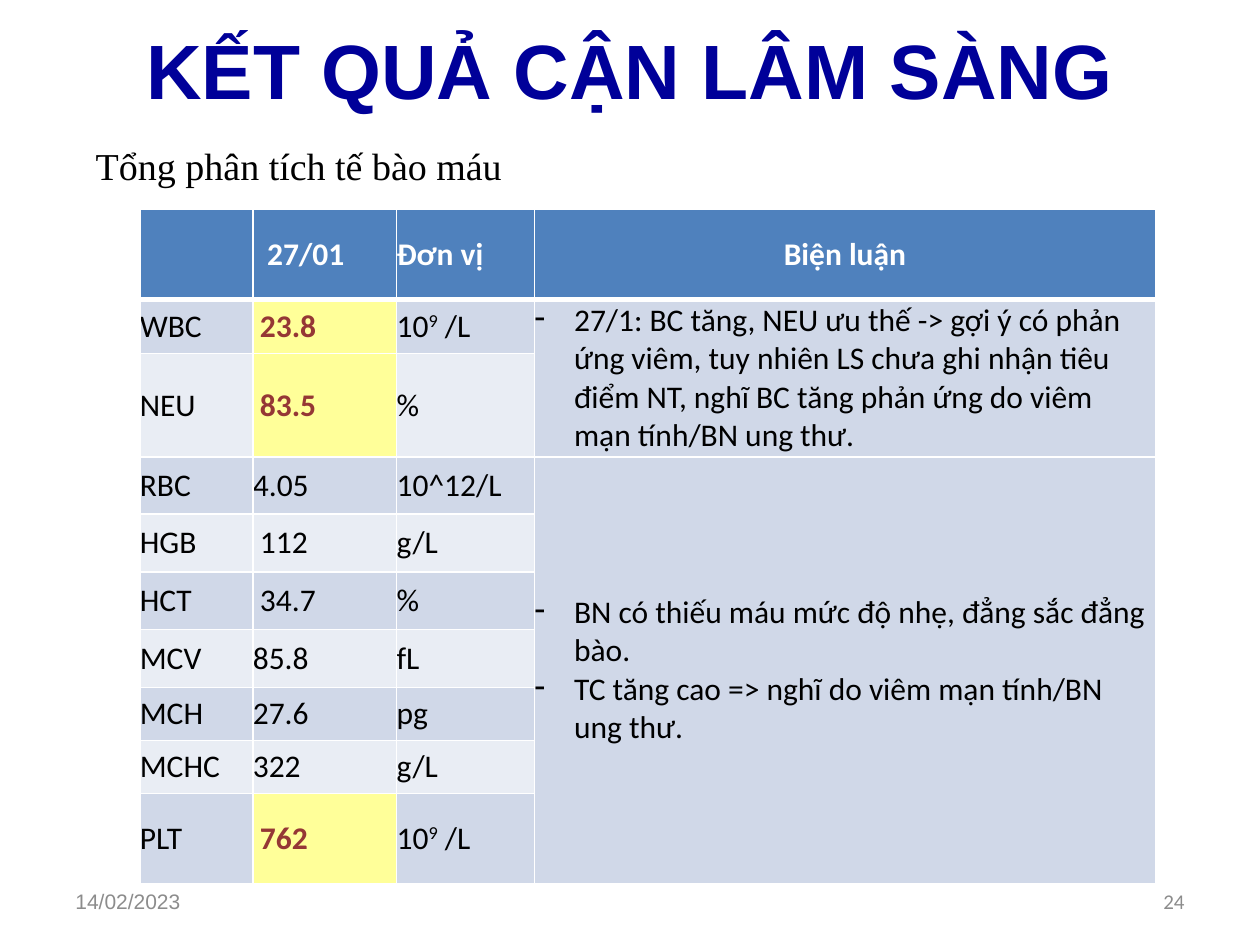
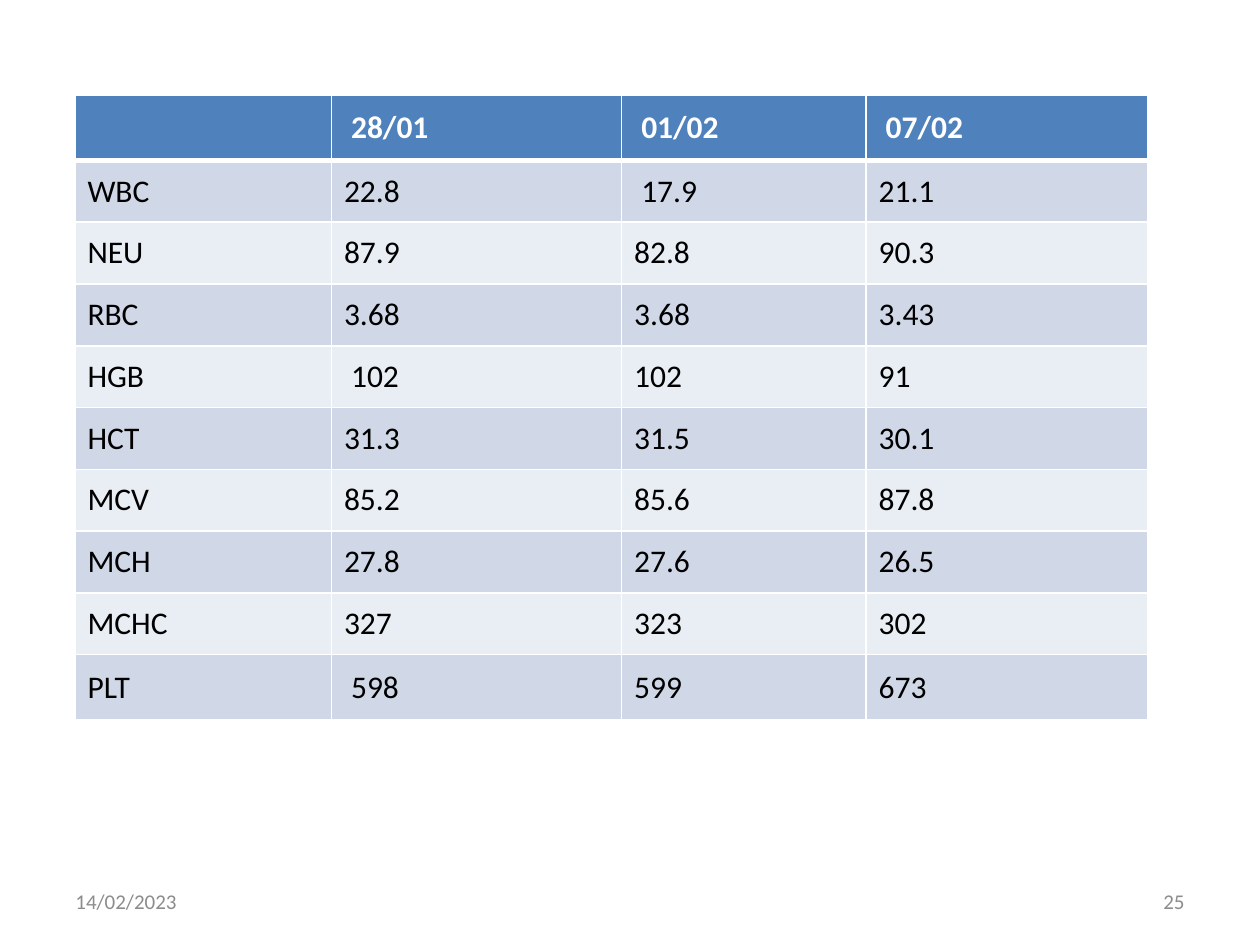
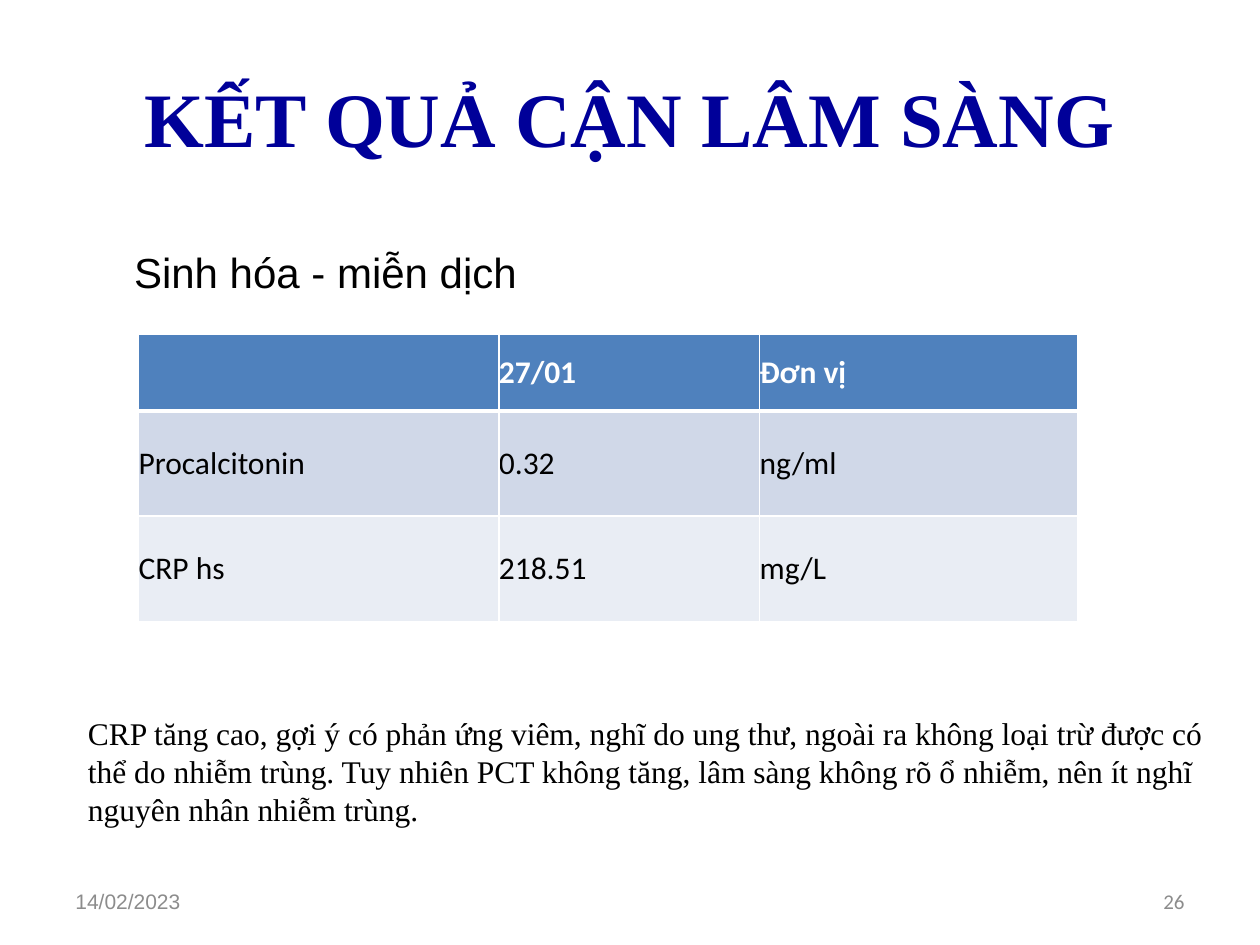
from dataclasses import dataclass

from lxml.etree import SubElement
from pptx import Presentation
from pptx.dml.color import RGBColor
from pptx.enum.text import MSO_ANCHOR, MSO_AUTO_SIZE, PP_ALIGN
from pptx.oxml.ns import qn
from pptx.util import Pt

# Shared style
NAVY = RGBColor(0x00, 0x00, 0x99)
BLACK = RGBColor(0x00, 0x00, 0x00)
WHITE = RGBColor(0xFF, 0xFF, 0xFF)
GREY = RGBColor(0x8C, 0x8C, 0x8C)
HEADER_BLUE = RGBColor(0x4F, 0x81, 0xBD)
BANDS = (RGBColor(0xD0, 0xD8, 0xE8), RGBColor(0xE9, 0xED, 0xF4))
YELLOW = RGBColor(0xFF, 0xFF, 0x99)
DARK_RED = RGBColor(0x95, 0x37, 0x35)

SANS, SERIF, TABLE_FONT = "Arial", "Times New Roman", "Calibri"
TITLE_AND_CONTENT, BLANK = 1, 6
SPACE = 4.07  # width of one space in the table font
HANGING = 22.5
HEADING = "KẾT QUẢ CẬN LÂM SÀNG"
DATE = "14/02/2023"


@dataclass
class Cell:
    text: str = ""
    superscript: str = ""
    tail: str = ""
    indent: float = 0
    abnormal: bool = False
    centred: bool = False
    bullet: str = ""
    row_span: int = 1


def write_text(frame, text, font=TABLE_FONT, size=18, color=BLACK, bold=False,
               align=PP_ALIGN.LEFT, bullet="", superscript="", tail=""):
    """Fill a text frame, one paragraph for each line of text."""
    for index, line in enumerate(text.split("\n")):
        paragraph = frame.paragraphs[0] if index == 0 else frame.add_paragraph()
        paragraph.alignment = align
        paragraph.space_before = Pt(0)
        properties = paragraph._p.get_or_add_pPr()
        hanging = Pt(HANGING) if bullet else 0
        properties.set("marL", str(hanging))
        properties.set("indent", str(-hanging))
        if bullet:
            SubElement(properties, qn("a:buChar"), char=bullet)
        else:
            SubElement(properties, qn("a:buNone"))
        for part in filter(None, (line, superscript, tail)):
            run = paragraph.add_run()
            run.text = part
            run.font.name = font
            run.font.size = Pt(size)
            run.font.bold = bold
            run.font.color.rgb = color
            if part == superscript:
                run._r.get_or_add_rPr().set("baseline", "30000")


def draw_borders(cell, bottom_width):
    properties = cell._tc.get_or_add_tcPr()
    for side, width in (("L", 1), ("R", 1), ("T", 1), ("B", bottom_width)):
        line = SubElement(properties, qn(f"a:ln{side}"), w=str(Pt(width)))
        fill = SubElement(line, qn("a:solidFill"))
        SubElement(fill, qn("a:srgbClr"), val=str(WHITE))


class Deck:
    """Holds the presentation and the slide being built."""

    def __init__(self):
        self.presentation = Presentation()
        self.presentation.slide_width = Pt(720)
        self.presentation.slide_height = Pt(540)
        self.slide = None

    def add_slide(self, layout, number, date_font):
        layouts = self.presentation.slide_layouts
        self.slide = self.presentation.slides.add_slide(layouts[layout])
        footer = dict(size=12, color=GREY)
        self.text_box(36, 500.4, 168, 28.8, DATE, MSO_ANCHOR.MIDDLE,
                      font=date_font, **footer)
        self.text_box(516, 500.4, 168, 28.8, str(number), MSO_ANCHOR.MIDDLE,
                      align=PP_ALIGN.RIGHT, **footer)

    def place(self, shape, left, top, width, height, anchor):
        shape.left, shape.top = Pt(left), Pt(top)
        shape.width, shape.height = Pt(width), Pt(height)
        frame = shape.text_frame
        frame.word_wrap = True
        frame.auto_size = MSO_AUTO_SIZE.NONE
        frame.vertical_anchor = anchor
        return frame

    def text_box(self, left, top, width, height, text, anchor=MSO_ANCHOR.TOP, **style):
        shape = self.slide.shapes.add_textbox(0, 0, 0, 0)
        frame = self.place(shape, left, top, width, height, anchor)
        write_text(frame, text, **style)

    def title(self, top, height, font):
        frame = self.place(self.slide.shapes.title, 36, top, 648, height,
                           MSO_ANCHOR.MIDDLE)
        write_text(frame, HEADING, font=font, size=44, color=NAVY, bold=True,
                   align=PP_ALIGN.CENTER)

    def body(self, left, top, width, height, text, margin_left, margin_top, **style):
        frame = self.place(self.slide.placeholders[1], left, top, width, height,
                           MSO_ANCHOR.TOP)
        frame.margin_left, frame.margin_top = Pt(margin_left), Pt(margin_top)
        write_text(frame, text, **style)

    def table(self, left, top, widths, heights, rows, side_margin=0, edge_margin=0):
        table = self.slide.shapes.add_table(
            len(heights), len(widths), Pt(left), Pt(top),
            Pt(sum(widths)), Pt(sum(heights))).table
        for column, width in zip(table.columns, widths):
            column.width = Pt(width)
        for row, height in zip(table.rows, heights):
            row.height = Pt(height)
        for row_index, row in enumerate(rows):
            for column_index, content in enumerate(row):
                cell = table.cell(row_index, column_index)
                self.fill_cell(cell, content, row_index, side_margin, edge_margin)
                span = getattr(content, "row_span", 1)
                if span > 1:
                    cell.merge(table.cell(row_index + span - 1, column_index))

    def fill_cell(self, cell, content, row_index, side_margin, edge_margin):
        if not isinstance(content, Cell):
            content = Cell(content)
        header = row_index == 0
        draw_borders(cell, 3 if header else 1)
        cell.fill.solid()
        band = HEADER_BLUE if header else BANDS[(row_index - 1) % 2]
        cell.fill.fore_color.rgb = YELLOW if content.abnormal else band
        cell.vertical_anchor = MSO_ANCHOR.MIDDLE
        cell.margin_left = Pt(side_margin + content.indent)
        cell.margin_right = Pt(side_margin)
        cell.margin_top = cell.margin_bottom = Pt(edge_margin)
        color = WHITE if header else DARK_RED if content.abnormal else BLACK
        write_text(cell.text_frame, content.text, color=color,
                   bold=header or content.abnormal, bullet=content.bullet,
                   align=PP_ALIGN.CENTER if content.centred else PP_ALIGN.LEFT,
                   superscript=content.superscript, tail=content.tail)


def spaced(text, spaces=1, abnormal=False):
    return Cell(text, indent=spaces * SPACE, abnormal=abnormal)


def blood_count(deck):
    deck.add_slide(TITLE_AND_CONTENT, 24, SANS)
    deck.title(0, 78.5, SANS)
    deck.body(47.5, 74.9, 390, 28.8, "Tổng phân tích tế bào máu", 7.2, 6.5,
              font=SERIF, size=21.7)
    cells_per_litre = Cell("10", superscript="9", tail=" /L")
    white_cells = Cell(
        "27/1: BC tăng, NEU ưu thế -> gợi ý có phản ứng viêm, tuy nhiên LS chưa "
        "ghi nhận tiêu điểm NT, nghĩ BC tăng phản ứng do viêm mạn tính/BN ung thư.",
        bullet="-", row_span=2)
    red_cells = Cell(
        "BN có thiếu máu mức độ nhẹ, đẳng sắc đẳng bào.\n"
        "TC tăng cao => nghĩ do viêm mạn tính/BN ung thư.",
        bullet="-", row_span=7)
    rows = [
        ("", spaced("27/01", 2), "Đơn vị", Cell("Biện luận", centred=True)),
        ("WBC", spaced("23.8", abnormal=True), cells_per_litre, white_cells),
        ("NEU", spaced("83.5", abnormal=True), "%", ""),
        ("RBC", "4.05", "10^12/L", red_cells),
        ("HGB", spaced("112"), "g/L", ""),
        ("HCT", spaced("34.7"), "%", ""),
        ("MCV", "85.8", "fL", ""),
        ("MCH", "27.6", "pg", ""),
        ("MCHC", "322", "g/L", ""),
        ("PLT", spaced("762", abnormal=True), cells_per_litre, ""),
    ]
    heights = [51.6, 31, 59.2, 32.4, 33.1, 33.1, 33.1, 30.2, 30.2, 51.6]
    deck.table(79.9, 119.5, [64.6, 82.2, 78.9, 354.7], heights, rows)


def blood_count_follow_up(deck):
    deck.add_slide(BLANK, 25, TABLE_FONT)
    rows = [
        ("", spaced("28/01"), spaced("01/02"), spaced("07/02")),
        ("WBC", "22.8", spaced("17.9"), "21.1"),
        ("NEU", "87.9", "82.8", "90.3"),
        ("RBC", "3.68", "3.68", "3.43"),
        ("HGB", spaced("102"), "102", "91"),
        ("HCT", "31.3", "31.5", "30.1"),
        ("MCV", "85.2", "85.6", "87.8"),
        ("MCH", "27.8", "27.6", "26.5"),
        ("MCHC", "327", "323", "302"),
        ("PLT", spaced("598"), "599", "673"),
    ]
    heights = [37.4] + [35.3] * 8 + [37.4]
    deck.table(42.8, 54.3, [146.6, 165.8, 139.7, 161], heights, rows,
               side_margin=7.2, edge_margin=3.6)


def biochemistry(deck):
    deck.add_slide(TITLE_AND_CONTENT, 26, SANS)
    deck.title(21.6, 90, SERIF)
    deck.body(36, 126, 648.7, 224.6, "Sinh hóa - miễn dịch", 40.6, 15,
              font=SANS, size=24)
    rows = [
        ("", "27/01", "Đơn vị"),
        ("Procalcitonin", "0.32", "ng/ml"),
        ("CRP hs", "218.51", "mg/L"),
    ]
    deck.table(79.2, 191, [205.9, 149, 181.6], [43.8, 60.2, 60.2], rows)
    deck.text_box(
        43.2, 404.6, 653, 72.7,
        "CRP tăng cao, gợi ý có phản ứng viêm, nghĩ do ung thư, ngoài ra không loại "
        "trừ được có thể do nhiễm trùng. Tuy nhiên PCT không tăng, lâm sàng không rõ "
        "ổ nhiễm, nên ít nghĩ nguyên nhân nhiễm trùng.", font=SERIF)


def main():
    deck = Deck()
    blood_count(deck)
    blood_count_follow_up(deck)
    biochemistry(deck)
    deck.presentation.save("out.pptx")


if __name__ == "__main__":
    main()
